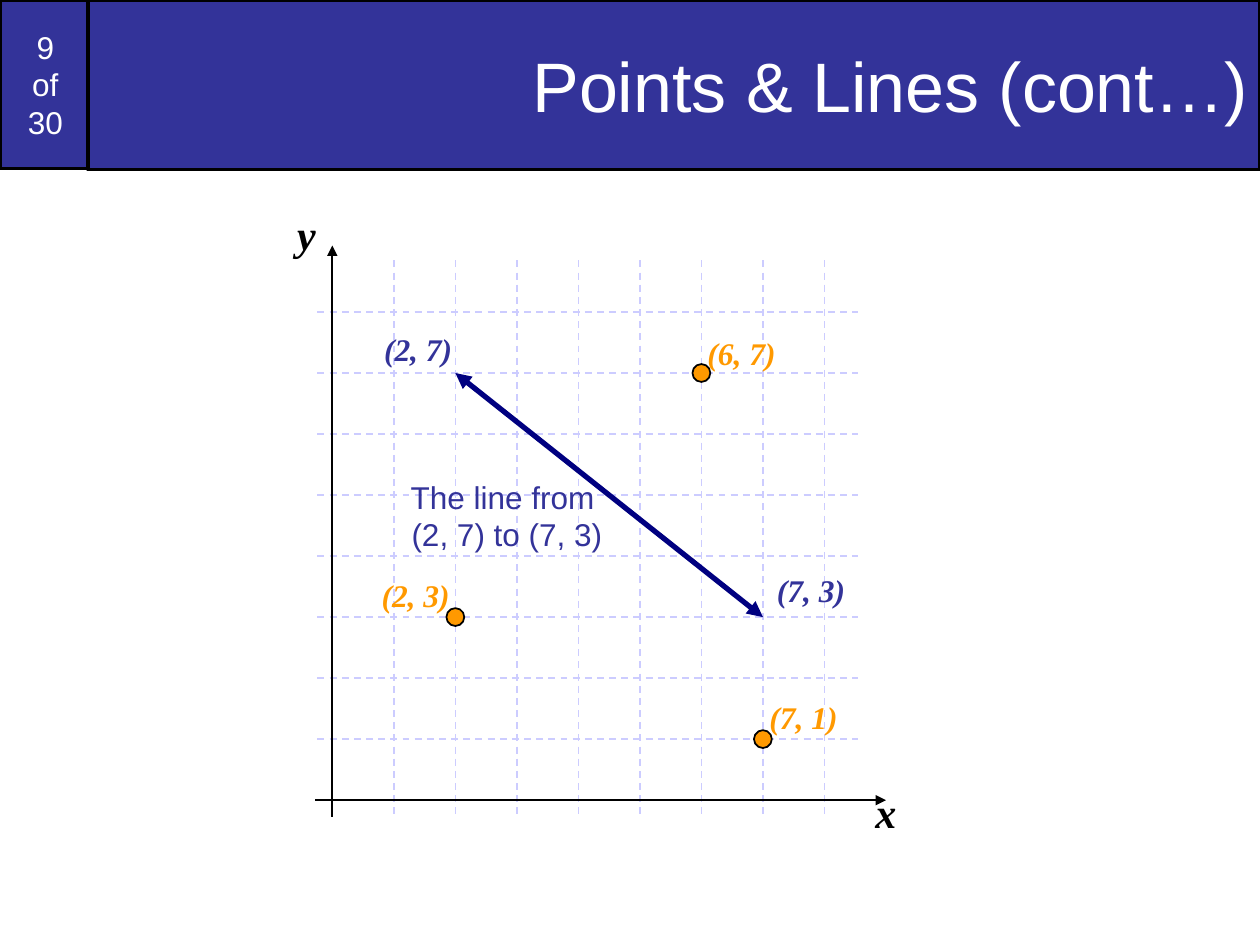
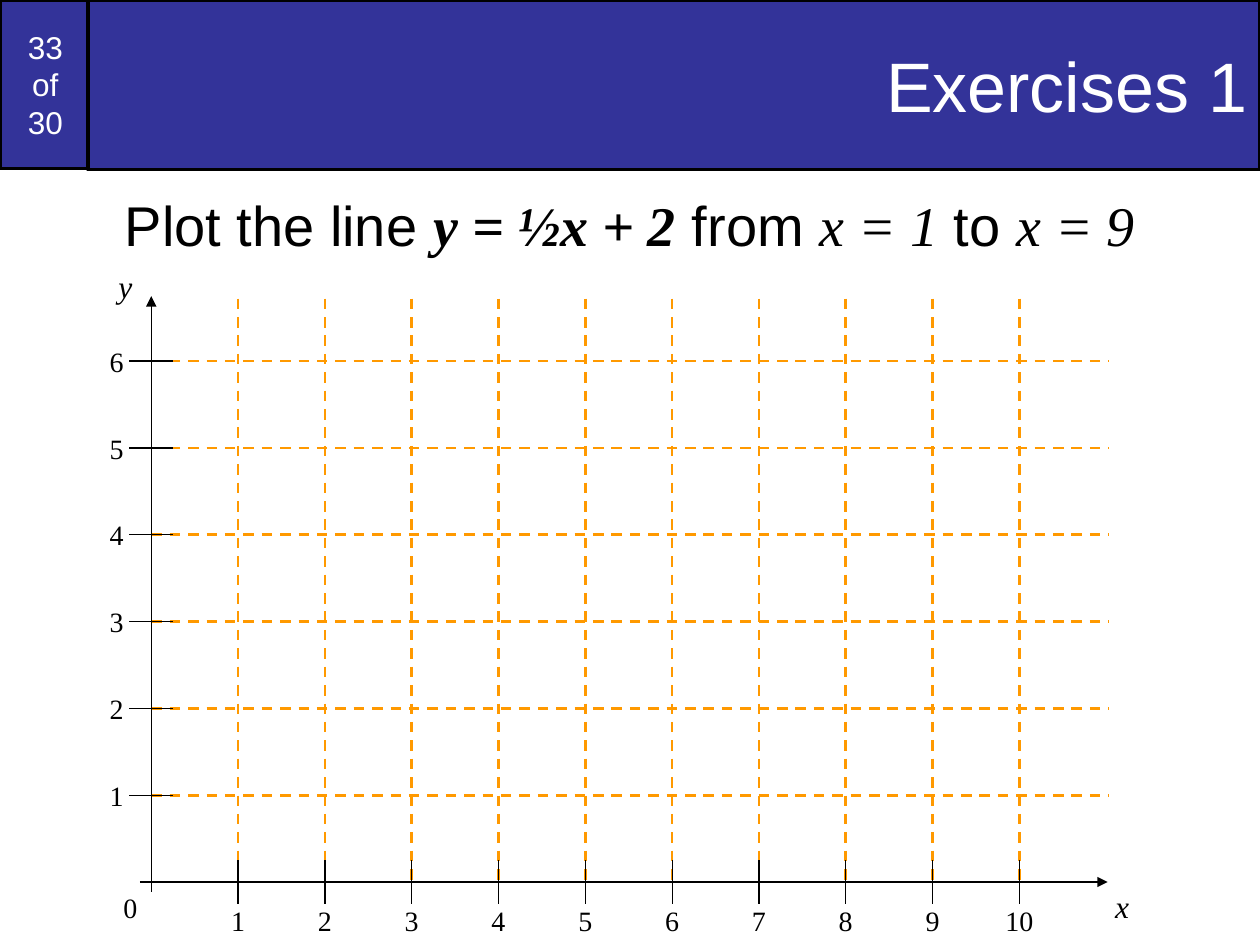
from dataclasses import dataclass

from lxml.etree import SubElement
from pptx import Presentation
from pptx.dml.color import RGBColor
from pptx.enum.dml import MSO_LINE
from pptx.enum.shapes import MSO_CONNECTOR, MSO_SHAPE
from pptx.enum.text import MSO_ANCHOR as Anchor, PP_ALIGN as Align
from pptx.oxml.ns import qn
from pptx.util import Cm, Pt

COLORS = {
    "band": "333399",
    "black": "000000",
    "white": "FFFFFF",
    "pale_grid": "CCCCFF",
    "navy": "000080",
    "orange": "FF9900",
}
SANS, SERIF = "Arial", "Times New Roman"
SLIDE_COUNT = 30
NUMBER_SIZE = (1, 0.69)


@dataclass
class Graph:
    """A plot area in cm, with its origin set in from the bottom left corner."""
    left: float
    top: float
    width: float
    height: float
    inset_x: float
    inset_y: float
    step_x: float
    step_y: float

    @property
    def right(self):
        return self.left + self.width

    @property
    def bottom(self):
        return self.top + self.height

    def at(self, x, y):
        return (self.left + self.inset_x + x * self.step_x,
                self.bottom - self.inset_y - y * self.step_y)


def color(name):
    return RGBColor.from_string(COLORS[name])


def write_text(shape, text, size=18, font=SANS, ink="black", bold=False, italic=False,
               align=Align.CENTER, anchor=Anchor.MIDDLE, inset=(0.25, 0.13), wrap=True):
    """Text is a string, or a list of (string, changed format) runs."""
    frame = shape.text_frame
    frame.word_wrap = wrap
    frame.vertical_anchor = anchor
    frame.margin_left = frame.margin_right = Cm(inset[0])
    frame.margin_top = frame.margin_bottom = Cm(inset[1])
    paragraph = frame.paragraphs[0]
    paragraph.alignment = align
    for content, changes in [(text, {})] if isinstance(text, str) else text:
        style = {"font": font, "bold": bold, "italic": italic} | changes
        for number, line in enumerate(content.split("\n")):
            if number:
                paragraph.add_line_break()
            run = paragraph.add_run()
            run.text = line
            run.font.size = Pt(size)
            run.font.name = style["font"]
            run.font.bold = style["bold"]
            run.font.italic = style["italic"]
            run.font.color.rgb = color(ink)


def add_label(slide, text, center, size_cm, **text_format):
    (x, y), (width, height) = center, size_cm
    label = slide.shapes.add_textbox(Cm(x - width / 2), Cm(y - height / 2),
                                     Cm(width), Cm(height))
    write_text(label, text, **{"font": SERIF, "inset": (0, 0), "wrap": False} | text_format)


def add_solid(slide, kind, box, fill, line_width):
    shape = slide.shapes.add_shape(kind, *map(Cm, box))
    shape.shadow.inherit = False
    shape.fill.solid()
    shape.fill.fore_color.rgb = color(fill)
    shape.line.color.rgb = color("black")
    shape.line.width = Pt(line_width)
    return shape


def add_line(slide, start, end, ink="black", width=0.75, dashed=False, arrows=()):
    connector = slide.shapes.add_connector(MSO_CONNECTOR.STRAIGHT, *map(Cm, (*start, *end)))
    connector.line.color.rgb = color(ink)
    connector.line.width = Pt(width)
    if dashed:
        connector.line.dash_style = MSO_LINE.DASH
    properties = connector.element.spPr
    for arrow in arrows:
        SubElement(properties.find(qn("a:ln")), qn(f"a:{arrow}"), type="triangle")
    SubElement(properties, qn("a:effectLst"))


def add_header(slide, number, title, box=(0, 0, 25.4, 3.42)):
    left, top, width, height = box
    # Slide number
    counter = add_solid(slide, MSO_SHAPE.RECTANGLE, (left, top, 1.83, height - 0.02), "band", 2)
    write_text(counter, f"{number}\nof\n{SLIDE_COUNT}", ink="white")
    # Title band
    band = add_solid(slide, MSO_SHAPE.RECTANGLE,
                     (left + 1.78, top, width - 1.78, height), "band", 2)
    write_text(band, title, size=40, ink="white", align=Align.RIGHT)


def add_grid(slide, graph, columns, rows, x_span, y_span, ink, width):
    for column in range(1, columns + 1):
        x, _ = graph.at(column, 0)
        add_line(slide, (x, y_span[0]), (x, y_span[1]), ink, width, dashed=True)
    for row in range(1, rows + 1):
        _, y = graph.at(0, row)
        add_line(slide, (x_span[0], y), (x_span[1], y), ink, width, dashed=True)


def add_axes(slide, graph, width):
    x, y = graph.at(0, 0)
    add_line(slide, (x, graph.bottom), (x, graph.top), width=width, arrows=["tailEnd"])
    add_line(slide, (graph.left, y), (graph.right, y), width=width, arrows=["tailEnd"])


def add_points_graph(slide, graph):
    add_grid(slide, graph, 8, 8, (graph.left + 0.05, graph.right - 0.56),
             (graph.top + 0.3, graph.bottom - 0.05), "pale_grid", 1)
    add_line(slide, graph.at(2, 7), graph.at(7, 3), "navy", 3, arrows=["headEnd", "tailEnd"])

    # Axes and their names
    add_axes(slide, graph, 1)
    for name, center in (("x", (graph.right, graph.bottom - 0.1)),
                         ("y", (graph.left - 0.17, graph.top - 0.23))):
        add_label(slide, name, center, (0.9, 1.27), size=24, bold=True, italic=True)

    # Points and line ends, with the shift of each label
    for point, ink, shift_x, shift_y in (
        ((2, 3), "orange", -0.8, -0.45),
        ((6, 7), "orange", 0.81, -0.41),
        ((7, 1), "orange", 0.82, -0.44),
        ((7, 3), "band", 0.97, -0.55),
        ((2, 7), "band", -0.75, -0.48),
    ):
        x, y = graph.at(*point)
        if ink == "orange":
            add_solid(slide, MSO_SHAPE.OVAL, (x - 0.18, y - 0.18, 0.36, 0.36), ink, 1)
        add_label(slide, f"({point[0]}, {point[1]})", (x + shift_x, y + shift_y),
                  (1.88, 1.02), ink=ink, bold=True, italic=True)

    # Caption of the line
    x, y = graph.at(0, 0)
    add_label(slide, "The line from \n(2, 7) to (7, 3)", (x + 3.52, y - 5.74), (4.39, 1.78),
              font=SANS, ink="band")


def add_exercise_graph(slide, graph, columns=10, rows=6, tick=0.44):
    x_zero, y_zero = graph.at(0, 0)
    add_grid(slide, graph, columns, rows, (x_zero, graph.right + 0.03),
             (graph.top + 0.05, y_zero), "orange", 1.5)

    # Axes and their names
    add_axes(slide, graph, 0.75)
    for name, center in (("x", (graph.right + 0.29, graph.bottom + 0.28)),
                         ("y", (graph.left - 0.29, graph.top - 0.2))):
        add_label(slide, name, center, (1.2, 1.02), italic=True)

    # Ticks and numbers
    add_label(slide, "0", (x_zero - 0.42, y_zero + 0.52), NUMBER_SIZE, size=16)
    for column in range(1, columns + 1):
        x, _ = graph.at(column, 0)
        add_line(slide, (x, y_zero - tick), (x, y_zero + tick))
        add_label(slide, str(column), (x, y_zero + 0.77), NUMBER_SIZE, size=16)
    for row in range(1, rows + 1):
        _, y = graph.at(0, row)
        add_line(slide, (x_zero - tick, y), (x_zero + tick, y))
        add_label(slide, str(row), (x_zero - 0.7, y), NUMBER_SIZE, size=16)


def add_task(slide, box):
    task = slide.shapes.add_textbox(*map(Cm, box))
    formula = {"font": SERIF, "italic": True}
    write_text(task, [
        ("Plot the line ", {}),
        ("y = ½x + 2", formula | {"bold": True}),
        (" from ", {}),
        ("x = 1", formula),
        (" to ", {}),
        ("x = 9", formula),
    ], size=32, anchor=Anchor.TOP)


def main():
    presentation = Presentation()
    presentation.slide_width, presentation.slide_height = Cm(25.4), Cm(19.05)
    blank = presentation.slide_layouts[6]

    slide = presentation.slides.add_slide(blank)
    add_header(slide, 9, "Points & Lines (cont…)")
    add_points_graph(slide, Graph(6.35, 4.95, 11.51, 11.51, 0.35, 0.33, 1.24, 1.23))

    slide = presentation.slides.add_slide(blank)
    add_header(slide, 33, "Exercises 1")
    add_exercise_graph(slide, Graph(2.82, 5.97, 19.51, 12.01, 0.23, 0.2, 1.75, 1.75))
    add_task(slide, (1.27, 3.71, 22.86, 1.6))

    presentation.save("out.pptx")


if __name__ == "__main__":
    main()
